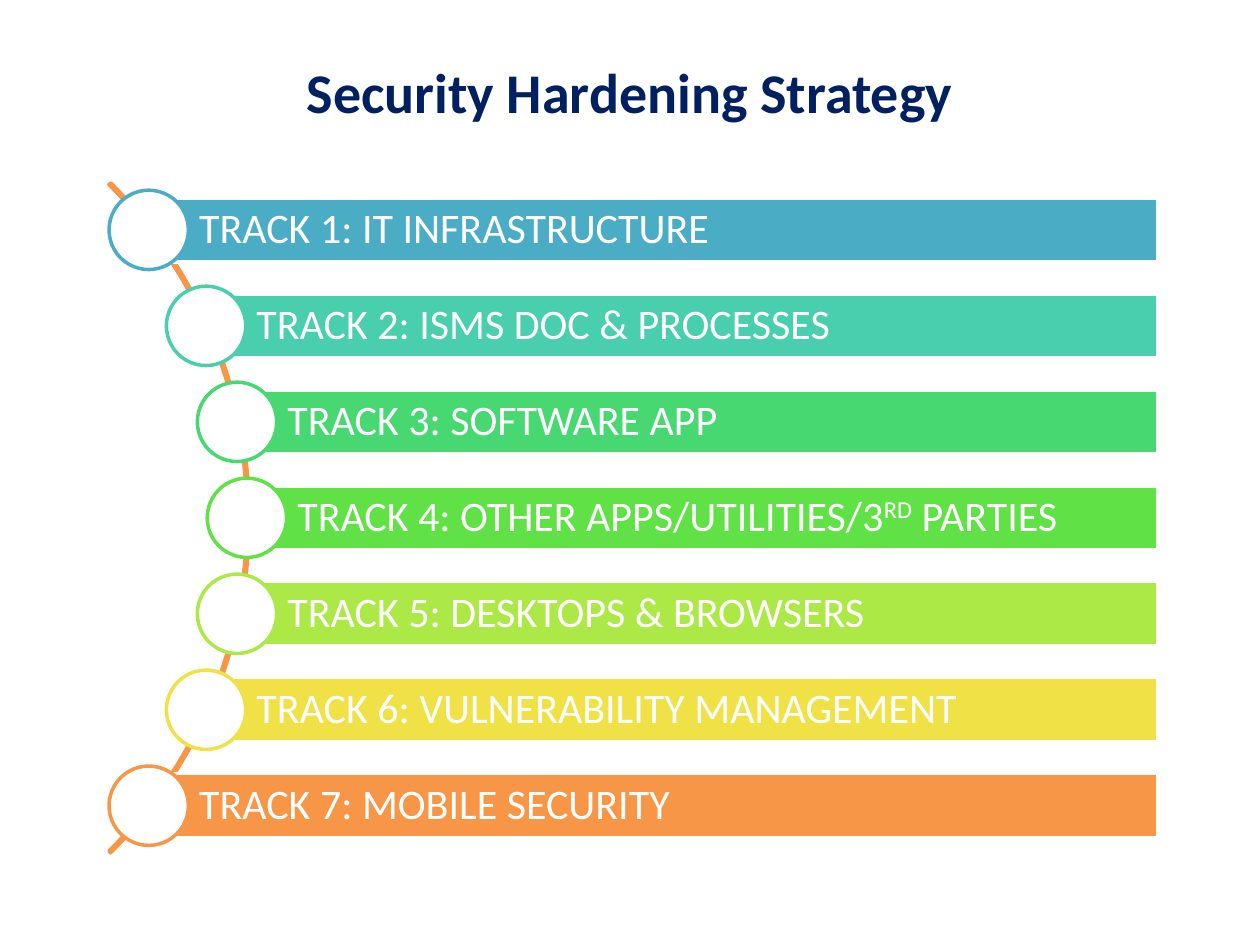
"""Build the Security Hardening Strategy slide: seven tracks along an arc."""
from dataclasses import dataclass
from math import sqrt

from pptx import Presentation
from pptx.dml.color import RGBColor
from pptx.enum.shapes import MSO_SHAPE
from pptx.enum.text import MSO_ANCHOR, MSO_AUTO_SIZE, PP_ALIGN
from pptx.shapes.autoshape import Shape
from pptx.slide import Slide
from pptx.text.text import Font
from pptx.util import Inches, Pt

ARC = MSO_SHAPE.BLOCK_ARC
BAR = MSO_SHAPE.RECTANGLE
CIRCLE = MSO_SHAPE.OVAL
MIDDLE = MSO_ANCHOR.MIDDLE
NO_AUTOFIT = MSO_AUTO_SIZE.NONE
CENTER = PP_ALIGN.CENTER
LEFT = PP_ALIGN.LEFT


@dataclass(frozen=True)
class Theme:
    font: str = "Calibri"
    title: str = "002060"
    white: str = "FFFFFF"
    arc: str = "F79646"
    title_size: int = 32
    track_size: int = 24
    line_width: int = 2


@dataclass(frozen=True)
class Track:
    color: str
    text: str
    superscript: str = ""
    ending: str = ""


THEME = Theme()
TRACKS = (
    Track("4BACC6", "TRACK 1: IT INFRASTRUCTURE"),
    Track("49CFAE", "TRACK 2: ISMS DOC & PROCESSES"),
    Track("47D872", "TRACK 3: SOFTWARE APP"),
    Track("60E146", "TRACK 4: OTHER APPS/UTILITIES/3", "RD", " PARTIES"),
    Track("ACE946", "TRACK 5: DESKTOPS & BROWSERS"),
    Track("F0E146", "TRACK 6: VULNERABILITY MANAGEMENT"),
    Track("F79646", "TRACK 7: MOBILE SECURITY"),
)

ARC_X, ARC_Y = -1.78, 4.11
ARC_DIAMETER, ARC_THICKNESS = 7.52, 0.02
ARC_ANGLES = (315, 45)
DEGREE = 0.6
TRACK_RADIUS = 3.74
TRACK_PITCH = 4.57 / (len(TRACKS) - 1)
BAR_RIGHT, BAR_HEIGHT = 9.19, 0.51
CIRCLE_DIAMETER = 0.63


def style_font(font: Font, size: int, color: str, bold: bool = False) -> None:
    font.name = THEME.font
    font.size = Pt(size)
    font.bold = bold
    font.color.rgb = RGBColor.from_string(color)


def add_outlined(slide: Slide, kind: MSO_SHAPE, left: float, top: float,
                 width: float, height: float, line: str,
                 fill: str | None = None) -> Shape:
    shape = slide.shapes.add_shape(
        kind, Inches(left), Inches(top), Inches(width), Inches(height))
    shape.shadow.inherit = False
    if fill is None:
        shape.fill.background()
    else:
        shape.fill.solid()
        shape.fill.fore_color.rgb = RGBColor.from_string(fill)
    shape.line.color.rgb = RGBColor.from_string(line)
    shape.line.width = Pt(THEME.line_width)
    return shape


def add_title(slide: Slide, text: str) -> None:
    title = slide.shapes.title
    title.left, title.top = Inches(0.5), Inches(0.23)
    title.width, title.height = Inches(9), Inches(0.98)
    frame = title.text_frame
    frame.text = text
    frame.auto_size = NO_AUTOFIT
    frame.vertical_anchor = MIDDLE
    para = frame.paragraphs[0]
    para.alignment = CENTER
    style_font(para.font, THEME.title_size, THEME.title, bold=True)


def add_arc(slide: Slide) -> None:
    radius = ARC_DIAMETER / 2
    arc = add_outlined(slide, ARC, ARC_X - radius, ARC_Y - radius,
                       ARC_DIAMETER, ARC_DIAMETER, THEME.arc)
    for index, angle in enumerate(ARC_ANGLES):
        arc.adjustments[index] = angle * DEGREE
    arc.adjustments[2] = ARC_THICKNESS / ARC_DIAMETER


def write_track(bar: Shape, track: Track) -> None:
    frame = bar.text_frame
    frame.word_wrap = True
    frame.vertical_anchor = MIDDLE
    frame.margin_left = Inches(0.4)
    frame.margin_top = frame.margin_right = frame.margin_bottom = Inches(0.07)
    para = frame.paragraphs[0]
    para.alignment = LEFT
    para.line_spacing = 0.9
    style_font(para.font, THEME.track_size, THEME.white)
    para.add_run().text = track.text
    if track.superscript:
        span = para.add_run()
        span.text = track.superscript
        span.font._element.set("baseline", "30000")
        para.add_run().text = track.ending


def add_track(slide: Slide, track: Track, offset: float) -> None:
    x = ARC_X + sqrt(TRACK_RADIUS ** 2 - offset ** 2)
    y = ARC_Y + offset
    bar = add_outlined(slide, BAR, x, y - BAR_HEIGHT / 2, BAR_RIGHT - x,
                       BAR_HEIGHT, THEME.white, track.color)
    write_track(bar, track)
    radius = CIRCLE_DIAMETER / 2
    add_outlined(slide, CIRCLE, x - radius, y - radius, CIRCLE_DIAMETER,
                 CIRCLE_DIAMETER, track.color, THEME.white)


def main() -> None:
    deck = Presentation()
    deck.slide_width, deck.slide_height = Inches(10), Inches(7.5)
    page = deck.slides.add_slide(deck.slide_layouts[5])
    add_title(page, "Security Hardening Strategy")
    add_arc(page)
    middle = (len(TRACKS) - 1) / 2
    for index, track in enumerate(TRACKS):
        add_track(page, track, (index - middle) * TRACK_PITCH)
    deck.save("out.pptx")


if __name__ == "__main__":
    main()
